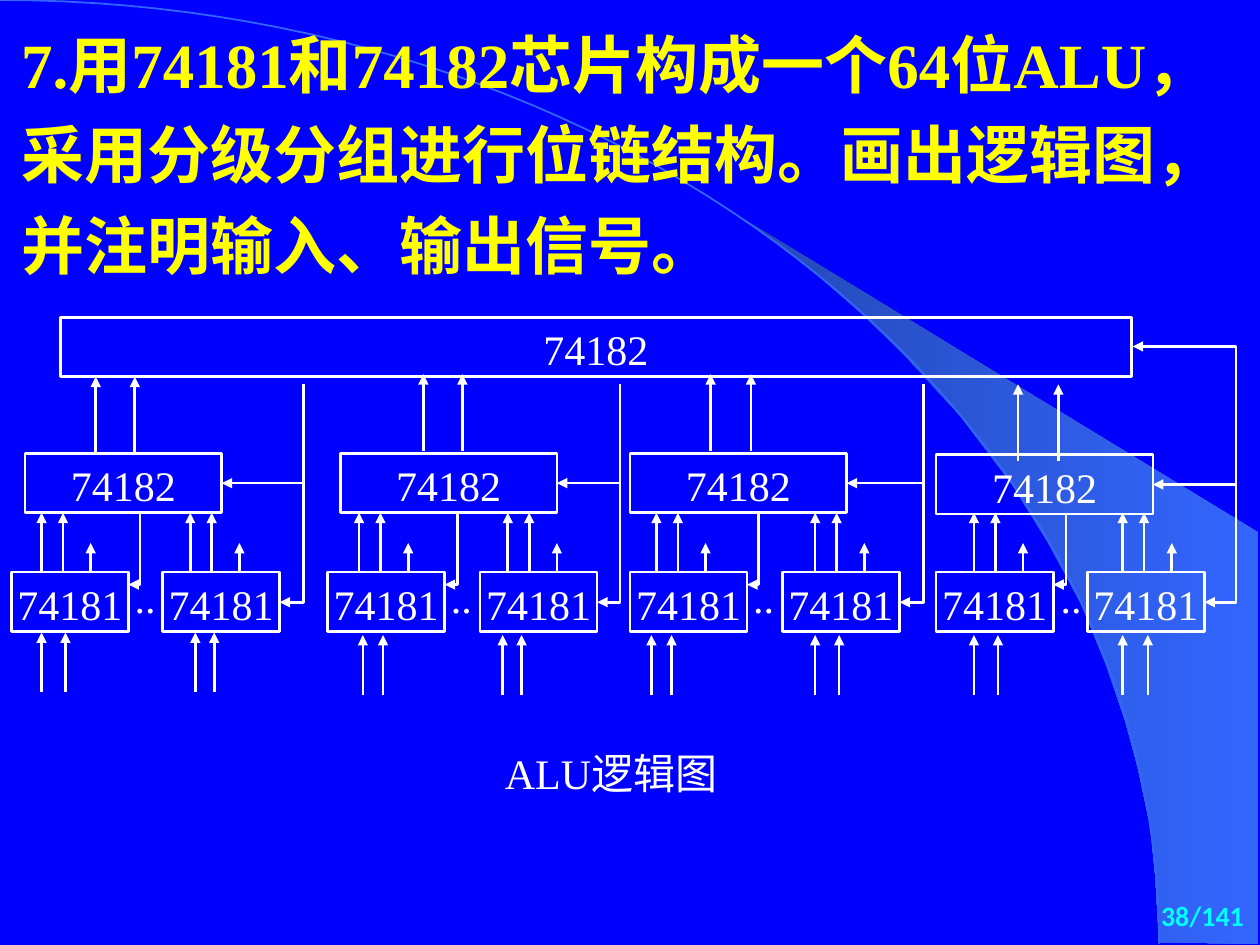
from typing import NamedTuple

from lxml.etree import SubElement
from pptx import Presentation
from pptx.dml.color import RGBColor
from pptx.enum.shapes import MSO_CONNECTOR as Link, MSO_SHAPE as Preset
from pptx.enum.text import MSO_ANCHOR as Anchor, PP_ALIGN as Align
from pptx.oxml.ns import qn
from pptx.util import Inches, Pt

COLUMNS, ROWS = 100, 75
UNIT = Inches(0.1)
WHITE, YELLOW, CYAN = "FFFFFF", "FFFF00", "00FFFF"
BLUE, DARK_BLUE, LIGHT_BLUE = "0000FF", "2449B6", "3366FF"
BOX_HEIGHT, CELL_WIDTH, CELL_TOP = 4.7, 9.3, 45.4
BODY = {"name": "Times New Roman", "size": Pt(24), "bold": False}
TITLE = {**BODY, "size": Pt(36), "bold": True}
NUMBER = {"name": "Calibri", "size": Pt(16), "bold": True}


class Span(NamedTuple):
    start: float
    end: float


class Group(NamedTuple):
    left: float
    width: float
    top: float
    cells: tuple[float, float]
    inputs: tuple[float, float, float, float]
    input_rows: Span
    signals: tuple[float, float]
    carry: float
    outputs: tuple[float, float]
    output_rows: Span
    bus: float
    dots: float


LOW, HIGH = Span(54.9, 50.2), Span(55.2, 50.4)
GROUPS = [
    Group(2, 15.6, 36, (0.9, 12.9), (3.3, 5.2, 15.5, 17), LOW, (3.3, 15.1),
          11.1, (7.6, 10.7), Span(36, 29.9), 24.1, 9.7),
    Group(27, 17.2, 36, (26, 38.1), (28.8, 30.4, 39.9, 41.4), HIGH, (28.5, 40.3),
          36.3, (33.6, 36.7), Span(35.8, 29.7), 49.2, 34.8),
    Group(50, 17.2, 36, (50, 62.1), (51.7, 53.3, 64.7, 66.6), HIGH, (52.1, 64.7),
          60.2, (56.4, 59.6), Span(35.8, 29.7), 73.3, 58.8),
    Group(74.3, 17.2, 36.1, (74.3, 86.3), (77.3, 79.2, 89.1, 91.1), HIGH, (77.3, 89.1),
          84.6, (80.8, 84), Span(36.6, 30.5), 98.1, 83.2),
]
WEDGE = [
    (92, 74.8), (99.9, 74.9), (99.9, 42.3), (58.9, 17.3), (62.4, 19.9), (65.3, 22.2),
    (68.5, 25), (71.6, 28), (76.2, 33), (80.3, 38.4), (83.2, 43.1), (85.8, 47.9),
    (87.8, 52.8), (89.3, 57.2), (90.3, 60.9), (91.3, 65.6), (91.7, 69.6),
]
ARC_CONTROLS = [(0, 0), (50.8, 0), (92, 33.5), (92, 74.9)]
ARC_STEPS = 60


def grid(*values: float) -> list[int]:
    return [round(value * UNIT) for value in values]


def colour(text: str) -> RGBColor:
    return RGBColor.from_string(text)


def stroke(line, tint: str, width: float) -> None:
    line.color.rgb = colour(tint)
    line.width = Pt(width)


def write(box, text: str, style: dict, tint: str, align=Align.LEFT,
          anchor=Anchor.TOP, wrap: bool = True, spacing: float = 1.0) -> None:
    frame = box.text_frame
    frame.word_wrap = wrap
    frame.vertical_anchor = anchor
    para = frame.paragraphs[0]
    para.alignment = align
    para.line_spacing = spacing
    span = para.add_run()
    span.text = text
    for name, value in style.items():
        setattr(span.font, name, value)
    span.font.color.rgb = colour(tint)


def label(page, place: tuple, text: str, style: dict, tint: str, **options) -> None:
    write(page.shapes.add_textbox(*grid(*place)), text, style, tint, **options)


def chip(page, left: float, top: float, width: float, name: str):
    box = page.shapes.add_shape(Preset.RECTANGLE, *grid(left, top, width, BOX_HEIGHT))
    box.shadow.inherit = False
    box.fill.background()
    stroke(box.line, WHITE, 1.5)
    write(box, name, BODY, WHITE, align=Align.CENTER, wrap=False)
    return box


def arrow(page, start: tuple, end: tuple, kind=Link.STRAIGHT, ends=("tailEnd",)):
    link = page.shapes.add_connector(kind, *grid(*start, *end))
    stroke(link.line, WHITE, 1.5)
    line = link.line._get_or_add_ln()
    for tip in ends:
        SubElement(line, qn(f"a:{tip}"), type="triangle")
    SubElement(link._element.spPr, qn("a:effectLst"))
    return link


def rise(page, column: float, rows: Span) -> None:
    arrow(page, (column, rows.start), (column, rows.end))


def down_then_left(page, start: tuple, end: tuple) -> None:
    (right, top), (left, bottom) = start, end
    length, reach = bottom - top, right - left
    link = arrow(page, (0, 0), (length, reach), Link.ELBOW)
    link.left, link.top = grid((left + right - length) / 2, (top + bottom - reach) / 2)
    properties = link._element.spPr
    properties.find(qn("a:xfrm")).set("rot", str(90 * 60000))
    properties.find(qn("a:prstGeom")).set("prst", "bentConnector2")


def outline(page, points: list, closed: bool):
    corners = [tuple(grid(*point)) for point in points]
    builder = page.shapes.build_freeform(*corners[0])
    builder.add_line_segments(corners[1:], close=closed)
    shape = builder.convert_to_shape()
    shape.shadow.inherit = False
    return shape


def arc_point(share: float) -> tuple[float, ...]:
    rest = 1 - share
    weights = (rest**3, 3 * rest**2 * share, 3 * rest * share**2, share**3)
    return tuple(sum(weight * value for weight, value in zip(weights, axis))
                 for axis in zip(*ARC_CONTROLS))


def backdrop(page) -> None:
    page.background.fill.solid()
    page.background.fill.fore_color.rgb = colour(BLUE)
    wedge = outline(page, WEDGE, True)
    wedge.line.fill.background()
    wedge.fill.gradient()
    wedge.fill.gradient_angle = 0
    for stop, tint in zip(wedge.fill.gradient_stops, (DARK_BLUE, LIGHT_BLUE)):
        stop.color.rgb = colour(tint)
    arc = outline(page, [arc_point(step / ARC_STEPS) for step in range(ARC_STEPS + 1)], False)
    arc.fill.background()
    stroke(arc.line, LIGHT_BLUE, 1)


def draw_group(page, group: Group, last: bool) -> None:
    lookahead = chip(page, group.left, group.top, group.width, "74182")
    for cell, signal in zip(group.cells, group.signals):
        chip(page, cell, CELL_TOP, CELL_WIDTH, "74181")
        for offset, end in ((0, 40.7), (1.7, 40.7), (3.9, 43.1)):
            rise(page, signal + offset, Span(CELL_TOP, end))
    for column in group.inputs:
        rise(page, column, group.input_rows)
    for column in group.outputs:
        rise(page, column, group.output_rows)
    first, second = (cell + CELL_WIDTH for cell in group.cells)
    down_then_left(page, (group.carry, group.top + BOX_HEIGHT), (first, 46.4))
    middle = group.top + BOX_HEIGHT / 2
    feed = arrow(page, (group.bus, middle), (group.left + group.width, middle))
    feed.end_connect(lookahead, 3)
    if not last:
        down_then_left(page, (group.bus, 30.5), (second, 47.8))
    label(page, (group.dots, 44.9, 4.7, 5), "..", BODY, WHITE)


def main() -> None:
    deck = Presentation()
    deck.slide_width, deck.slide_height = grid(COLUMNS, ROWS)
    page = deck.slides.add_slide(deck.slide_layouts[6])
    backdrop(page)
    chip(page, 4.8, 25.2, 85, "74182")
    for group in GROUPS:
        draw_group(page, group, group is GROUPS[-1])
    bus = arrow(page, (89.9, 27.5), (95.6, 47.8), Link.ELBOW, ("headEnd", "tailEnd"))
    guides = bus._element.spPr.find(qn("a:prstGeom")).get_or_add_avLst()
    SubElement(guides, qn("a:gd"), name="adj1", fmla="val 143700")
    label(page, (17.3, 58.8, 62.4, 5), "ALU逻辑图", BODY, WHITE, align=Align.CENTER)
    label(page, (0.7, 0.3, 99, 22.1),
          "7.用74181和74182芯片构成一个64位ALU，采用分级分组进行位链结构。画出逻辑图，并注明输入、输出信号。",
          TITLE, YELLOW, spacing=1.2)
    label(page, (87.9, 70.7, 11.8, 3.9), "38/141", NUMBER, CYAN,
          align=Align.RIGHT, anchor=Anchor.MIDDLE)
    deck.save("out.pptx")


if __name__ == "__main__":
    main()
